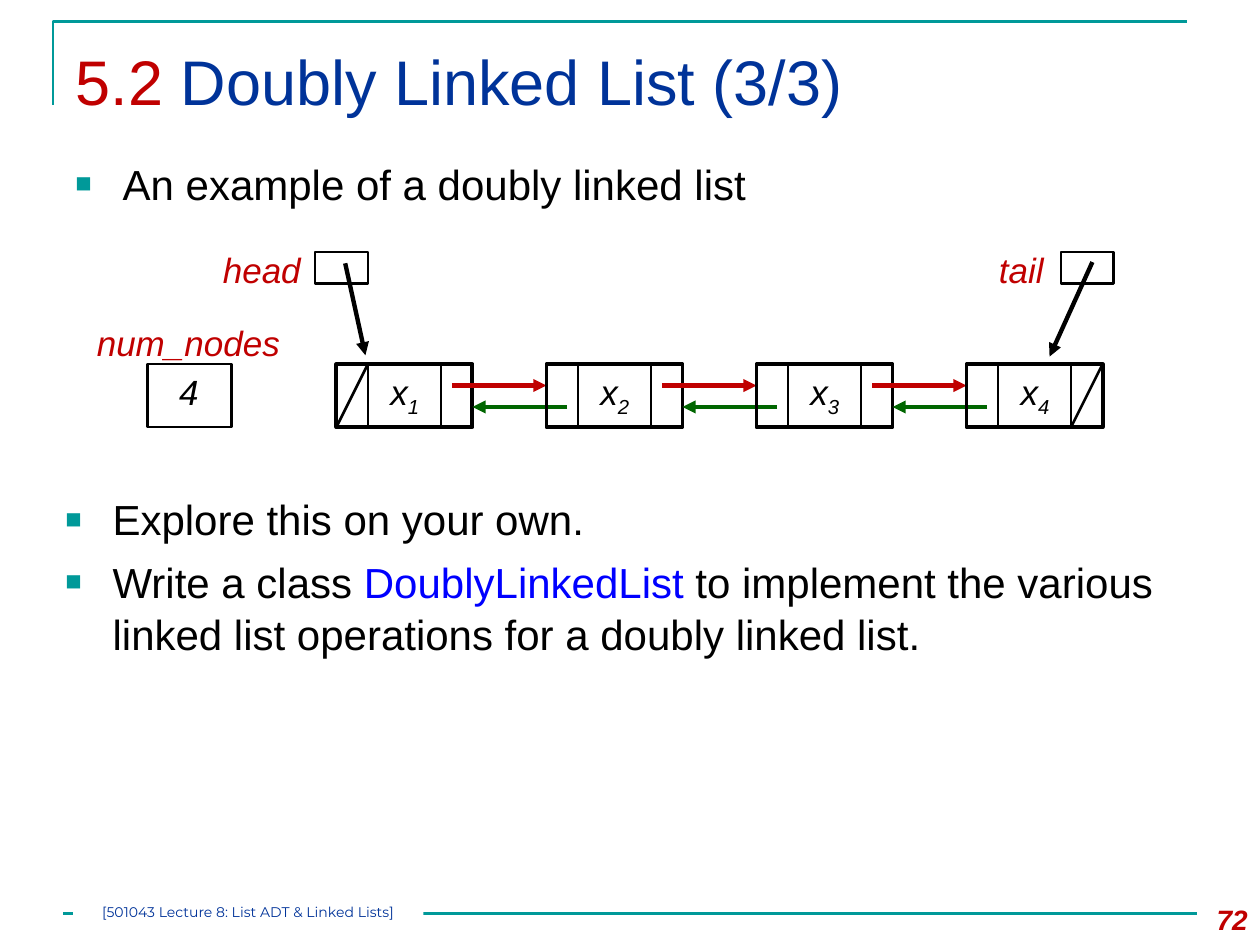
from dataclasses import dataclass

from lxml.etree import SubElement
from pptx import Presentation
from pptx.dml.color import RGBColor
from pptx.enum.shapes import MSO_CONNECTOR, MSO_SHAPE
from pptx.enum.text import MSO_ANCHOR, MSO_AUTO_SIZE, PP_ALIGN
from pptx.oxml.ns import qn
from pptx.util import Inches, Pt

TEAL, RED, NAVY, GREEN = "009999", "C00000", "003399", "006600"
BLACK, WHITE, BLUE = "000000", "FFFFFF", "0000FF"
NODE_TOP, NODE_WIDTH, NODE_HEIGHT = 2.89, 1.08, 0.5
NODE_BOTTOM = NODE_TOP + NODE_HEIGHT
FIRST_NODE_LEFT, NODE_PITCH, NODE_COUNT = 2.67, 1.667, 4


@dataclass(frozen=True)
class Run:
    text: str
    color: str = BLACK
    size: float = 20
    italic: bool = False
    bold: bool = False
    font: str = "Arial"
    subscript: bool = False


@dataclass(frozen=True)
class Pointer:
    """A named reference cell with an arrow to a node."""
    name: str
    name_left: float
    cell_left: float
    start: tuple[float, float]
    end: tuple[float, float]


POINTERS = [
    Pointer("head", 1.67, 2.5, (2.74, 2.09), (2.9, 2.82)),
    Pointer("tail", 7.83, 8.42, (8.67, 2.08), (8.33, 2.83)),
]


def rgb(color: str) -> RGBColor:
    return RGBColor.from_string(color)


def add_runs(paragraph, runs: list[Run]) -> None:
    for item in runs:
        run = paragraph.add_run()
        run.text = item.text
        formats = {"size": Pt(item.size), "italic": item.italic,
                   "bold": item.bold, "name": item.font}
        for name, value in formats.items():
            setattr(run.font, name, value)
        run.font.color.rgb = rgb(item.color)
        if item.subscript:
            run.font._element.set("baseline", "-25000")


def add_text(slide, left: float, top: float, width: float, height: float,
             runs: list[Run], wrap: bool = False, align=PP_ALIGN.LEFT,
             anchor=MSO_ANCHOR.TOP) -> None:
    box = slide.shapes.add_textbox(*map(Inches, (left, top, width, height)))
    box.text_frame.word_wrap = wrap
    box.text_frame.vertical_anchor = anchor
    paragraph = box.text_frame.paragraphs[0]
    paragraph.alignment = align
    add_runs(paragraph, runs)


def add_bullets(slide, left: float, top: float, width: float, height: float,
                items: list[list[Run]]) -> None:
    box = slide.shapes.add_textbox(*map(Inches, (left, top, width, height)))
    frame = box.text_frame
    frame.word_wrap = True
    frame.margin_top = Inches(0.07)
    for index, runs in enumerate(items):
        paragraph = frame.add_paragraph() if index else frame.paragraphs[0]
        properties = paragraph._p.get_or_add_pPr()
        properties.set("marL", str(Inches(0.375)))
        properties.set("indent", str(Inches(-0.375)))
        bullet_color = SubElement(properties, qn("a:buClr"))
        SubElement(bullet_color, qn("a:srgbClr"), val=TEAL)
        SubElement(properties, qn("a:buSzPct"), val="65000")
        SubElement(properties, qn("a:buFont"), typeface="Arial")
        SubElement(properties, qn("a:buChar"), char="■")
        paragraph.line_spacing = 1.04
        if index:
            paragraph.space_before = Pt(6)
        add_runs(paragraph, runs)


def add_box(slide, left: float, top: float, width: float, height: float,
            fill: str | None = None, line: str | None = BLACK,
            weight: float = 1.5):
    box = slide.shapes.add_shape(
        MSO_SHAPE.RECTANGLE, *map(Inches, (left, top, width, height)))
    box.shadow.inherit = False
    if fill:
        box.fill.solid()
        box.fill.fore_color.rgb = rgb(fill)
    else:
        box.fill.background()
    if line:
        box.line.color.rgb = rgb(line)
        box.line.width = Pt(weight)
    else:
        box.line.fill.background()
    return box


def add_line(slide, start: tuple[float, float], end: tuple[float, float],
             color: str = BLACK, weight: float = 1.5,
             arrow: bool = False) -> None:
    line = slide.shapes.add_connector(
        MSO_CONNECTOR.STRAIGHT, *map(Inches, (*start, *end)))
    line.line.color.rgb = rgb(color)
    line.line.width = Pt(weight)
    if arrow:
        SubElement(line.line._get_or_add_ln(), qn("a:tailEnd"), type="triangle")
    SubElement(line._element.spPr, qn("a:effectLst"))


def add_frame(slide) -> None:
    """Draw the corner rule above the title and the footer rule."""
    builder = slide.shapes.build_freeform(Inches(0.42), Inches(0.83))
    builder.add_line_segments(
        [(Inches(0.42), Inches(0.17)), (Inches(9.42), Inches(0.17))], close=False)
    corner = builder.convert_to_shape()
    corner.shadow.inherit = False
    corner.fill.background()
    corner.line.color.rgb = rgb(TEAL)
    corner.line.width = Pt(1.5)
    add_line(slide, (0.5, 7.25), (9.5, 7.25), TEAL)


def set_title(slide) -> None:
    title = slide.shapes.title
    position = {"left": 0.5, "top": 0.25, "width": 9, "height": 0.86}
    for name, value in position.items():
        setattr(title, name, Inches(value))
    frame = title.text_frame
    formats = {"auto_size": MSO_AUTO_SIZE.NONE, "word_wrap": True,
               "vertical_anchor": MSO_ANCHOR.TOP, "margin_top": Inches(0.09)}
    for name, value in formats.items():
        setattr(frame, name, value)
    frame.paragraphs[0].alignment = PP_ALIGN.LEFT
    add_runs(frame.paragraphs[0], [Run("5.2 ", RED, 36),
                                   Run("Doubly Linked List (3/3)", NAVY, 36)])


def add_pointer(slide, pointer: Pointer) -> None:
    add_box(slide, pointer.cell_left, 2, 0.42, 0.25)
    add_text(slide, pointer.name_left, 1.92, 0.82, 0.44,
             [Run(pointer.name, RED, italic=True)])
    add_line(slide, pointer.start, pointer.end, weight=2.5, arrow=True)


def add_node(slide, index: int) -> None:
    left = FIRST_NODE_LEFT + index * NODE_PITCH
    previous_edge, next_edge = left + 0.25, left + 0.83
    right = left + NODE_WIDTH
    add_box(slide, left, NODE_TOP, NODE_WIDTH, NODE_HEIGHT, weight=2.25)
    add_text(slide, left + 0.33, NODE_TOP, 0.45, 0.44,
             [Run("x", italic=True),
              Run(str(index + 1), italic=True, subscript=True)])
    for edge in (previous_edge, next_edge):
        add_line(slide, (edge, NODE_TOP), (edge, NODE_BOTTOM))
    if index == 0:
        add_line(slide, (left, NODE_BOTTOM), (previous_edge, NODE_TOP))
    if index == NODE_COUNT - 1:
        add_line(slide, (next_edge, NODE_BOTTOM), (right, NODE_TOP))
    else:
        next_left = left + NODE_PITCH
        add_line(slide, (next_left - 0.75, 3.06), (next_left, 3.06), RED, 2.5, True)
        add_line(slide, (right + 0.75, 3.23), (right, 3.23), GREEN, 2.5, True)


def add_footer(slide) -> None:
    footer = add_box(slide, 0.58, 7.17, 2.78, 0.2, fill=WHITE, line=None)
    frame = footer.text_frame
    for side in ("left", "top", "right", "bottom"):
        setattr(frame, f"margin_{side}", 0)
    frame.vertical_anchor = MSO_ANCHOR.TOP
    frame.paragraphs[0].alignment = PP_ALIGN.CENTER
    add_runs(frame.paragraphs[0], [Run("[501043 Lecture 8: List ADT & Linked Lists]",
                                       NAVY, 8, font="Montserrat")])


def main() -> None:
    presentation = Presentation()
    presentation.slide_width, presentation.slide_height = Inches(10), Inches(7.5)
    slide = presentation.slides.add_slide(presentation.slide_layouts[5])
    add_frame(slide)
    set_title(slide)
    add_text(slide, 9.33, 7.1, 0.67, 0.4, [Run("72", RED, 16, True, True)],
             True, PP_ALIGN.RIGHT, MSO_ANCHOR.MIDDLE)
    add_bullets(slide, 0.5, 1.17, 9.25, 0.75,
                [[Run("An example of a doubly linked list", size=24)]])
    add_box(slide, 1.17, NODE_TOP, 0.67, NODE_HEIGHT, fill=WHITE)
    add_text(slide, 0.67, 2.5, 1.67, 0.44, [Run("num_nodes", RED, italic=True)])
    add_text(slide, 1.25, NODE_TOP, 0.5, 0.44, [Run("4", italic=True)],
             True, PP_ALIGN.CENTER)
    for pointer in POINTERS:
        add_pointer(slide, pointer)
    for index in range(NODE_COUNT):
        add_node(slide, index)
    add_bullets(slide, 0.42, 3.83, 9.25, 1.92, [
        [Run("Explore this on your own.", size=24)],
        [Run("Write a class ", size=24), Run("DoublyLinkedList ", BLUE, 24),
         Run("to implement the various linked list operations for a doubly "
             "linked list.", size=24)]])
    add_footer(slide)
    presentation.save("out.pptx")


if __name__ == "__main__":
    main()
